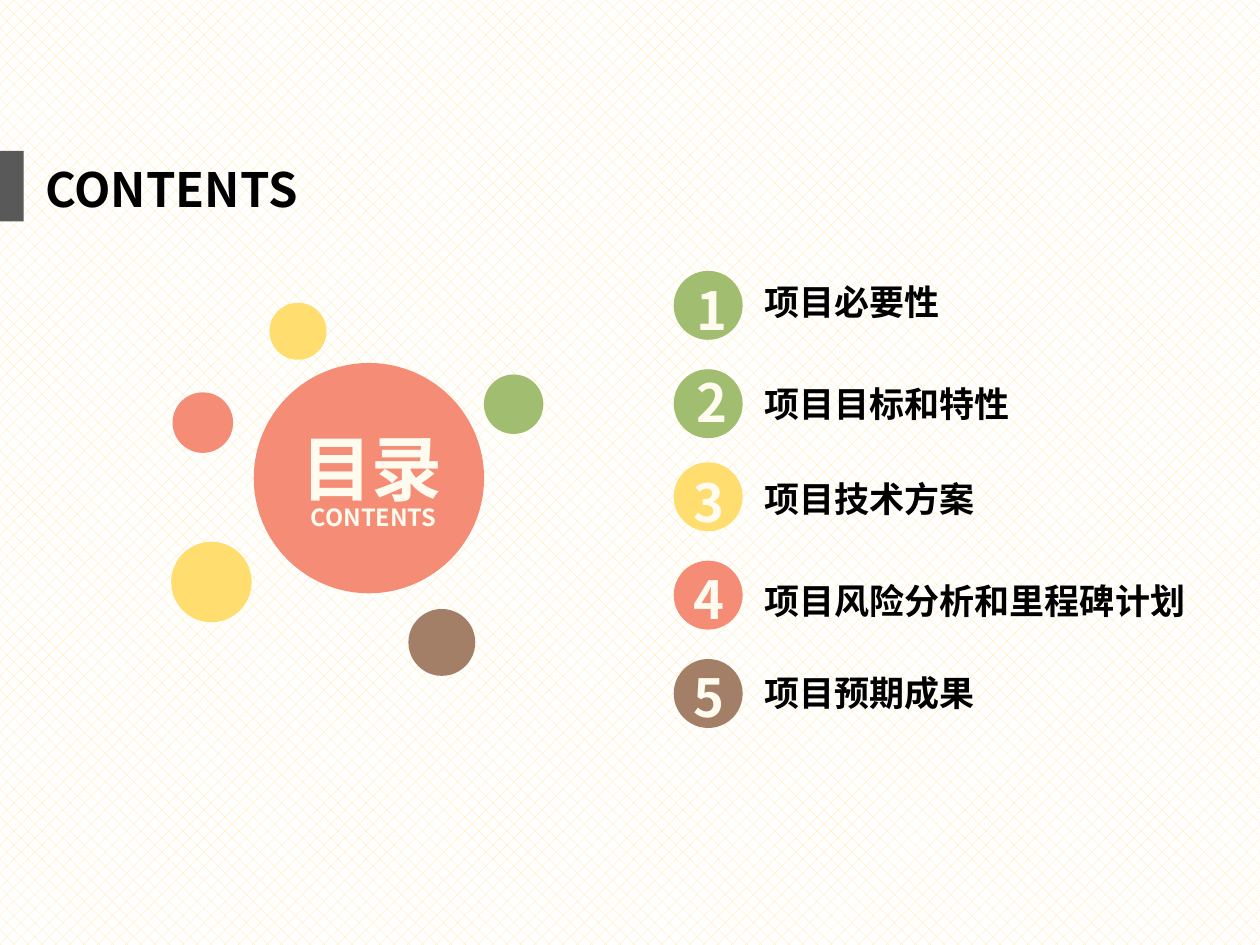
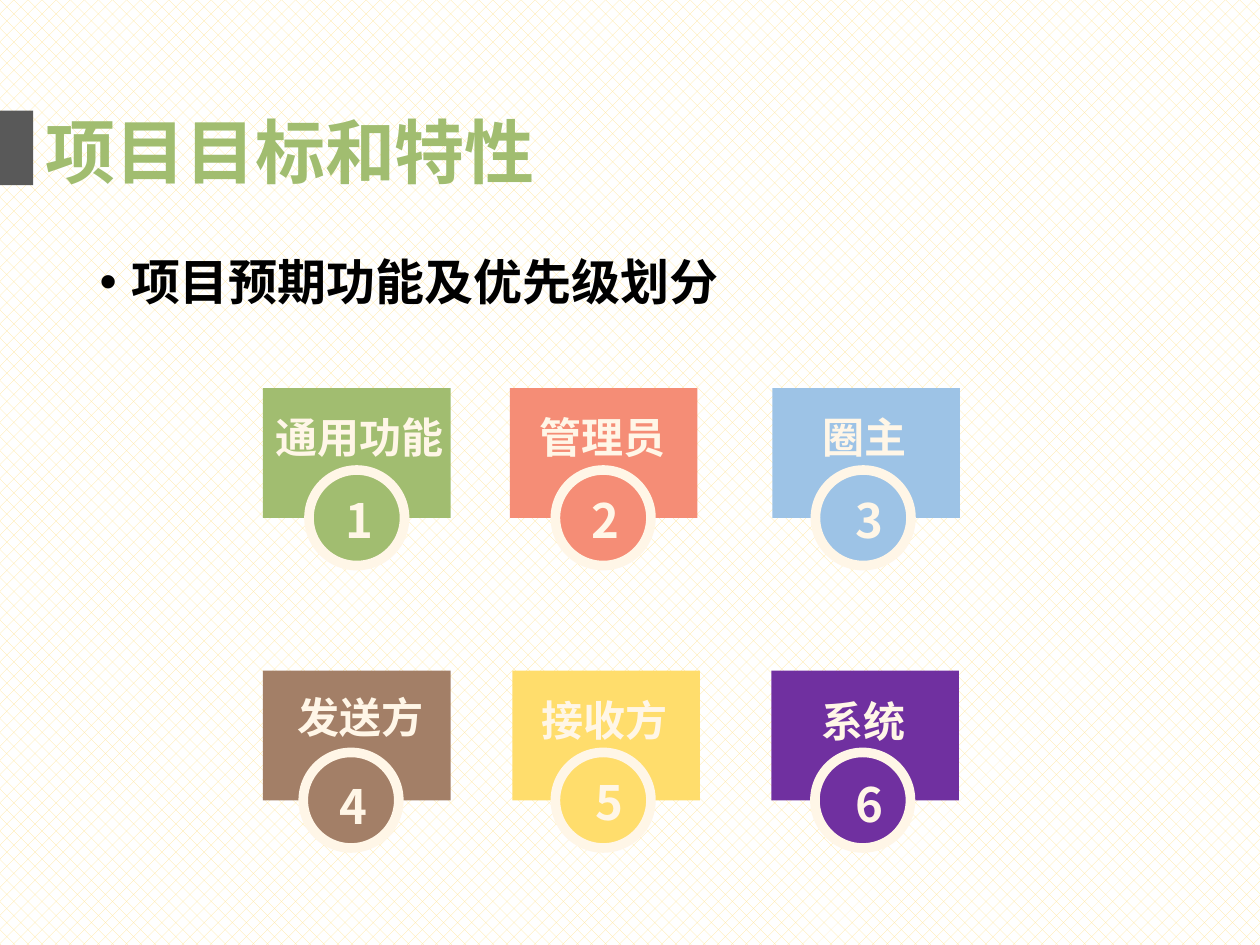
from lxml.etree import SubElement
from pptx import Presentation
from pptx.dml.color import RGBColor as RGB
from pptx.enum.dml import MSO_PATTERN
from pptx.enum.shapes import MSO_SHAPE as Kind
from pptx.enum.text import MSO_ANCHOR, MSO_AUTO_SIZE, PP_ALIGN
from pptx.oxml.ns import qn
from pptx.util import Pt

FONT = "Noto Sans CJK SC"
BLACK = RGB(0, 0, 0)
WHITE = RGB(255, 255, 255)
GRAY = RGB(0x59, 0x59, 0x59)
GREEN = RGB(0xA1, 0xBD, 0x70)
CORAL = RGB(0xF5, 0x8D, 0x76)
GOLD = RGB(0xFF, 0xDE, 0x6F)
AMBER = RGB(0xFF, 0xDD, 0x6C)
BROWN = RGB(0xA3, 0x7F, 0x67)
BLUE = RGB(0x9D, 0xC3, 0xE6)
PLUM = RGB(0x70, 0x30, 0xA0)
IVORY = RGB(0xFF, 0xFB, 0xEF)
CREAM = RGB(0xFF, 0xF6, 0xE7)
STRAW = RGB(0xFF, 0xE6, 0x99)


def draw(slide, kind, x, y, w, h, color):
    shape = slide.shapes.add_shape(kind, Pt(x), Pt(y), Pt(w), Pt(h))
    shape.shadow.inherit = False
    shape.fill.solid()
    shape.fill.fore_color.rgb = color
    shape.line.fill.background()
    return shape


def write(slide, text, x, y, w, size, color, box=None):
    box = box or slide.shapes.add_textbox(0, 0, 0, 0)
    box.left, box.top, box.width, box.height = Pt(x), Pt(y), Pt(w), Pt(1.22 * size + 7.2)
    frame = box.text_frame
    frame.text = text
    frame.word_wrap = False
    frame.auto_size = MSO_AUTO_SIZE.SHAPE_TO_FIT_TEXT
    frame.vertical_anchor = MSO_ANCHOR.TOP
    para = frame.paragraphs[0]
    para.alignment = PP_ALIGN.LEFT
    font = para.font
    font.size, font.bold, font.name = Pt(size), True, FONT
    font.color.rgb = color
    props = para._p.pPr.find(qn("a:defRPr"))
    SubElement(props, qn("a:ea")).set("typeface", FONT)
    return box


deck = Presentation()
deck.slide_width, deck.slide_height = Pt(720), Pt(540)
back = deck.slide_master.background.fill
back.patterned()
back.pattern = MSO_PATTERN.PERCENT_25
back.fore_color.rgb = STRAW
back.back_color.rgb = WHITE

slide = deck.slides.add_slide(deck.slide_layouts[5])
draw(slide, Kind.RECTANGLE, 0, 86.2, 13.5, 40.3, GRAY)
write(slide, "CONTENTS", 18.7, 87.8, 167, 27, BLACK, slide.shapes.title)

items = [
    ("项目必要性", GREEN, 154.8, 391, 155.5, 157),
    ("项目目标和特性", GREEN, 211, 391, 208.1, 215.3),
    ("项目技术方案", GOLD, 264.2, 389.5, 265, 269.3),
    ("项目风险分析和里程碑计划", CORAL, 320.4, 389.5, 320.4, 327.6),
    ("项目预期成果", BROWN, 376.6, 389.5, 376.6, 380.2),
]
for num, (text, color, top, left, high, line) in enumerate(items, 1):
    draw(slide, Kind.OVAL, 385, top, 39.4, 39.4, color)
    write(slide, str(num), left, high, 33.1, 30, IVORY)
    write(slide, text, 429.8, line, 20.2 * len(text) + 16, 20, BLACK)

dots = [
    (145, 207.4, 131.6, CORAL),
    (97.8, 309.6, 46, GOLD),
    (98.6, 224.2, 34.6, CORAL),
    (154, 173, 32.6, GOLD),
    (276.5, 214, 34, GREEN),
    (233.4, 348, 38.2, BROWN),
]
for x, y, d, color in dots:
    draw(slide, Kind.OVAL, x, y, d, d, color)
write(slide, "CONTENTS", 170.6, 283.7, 91.4, 13.5, IVORY)
write(slide, "目录", 165, 239, 96.5, 40.5, IVORY)

slide = deck.slides.add_slide(deck.slide_layouts[1])
draw(slide, Kind.RECTANGLE, 0, 63.2, 18.9, 42.6, GRAY)
write(slide, "项目目标和特性", 18.7, 58.3, 297.4, 40, GREEN, slide.shapes.title)

body = write(slide, "项目预期功能及优先级划分", 49.7, 144, 620.6, 28, BLACK, slide.placeholders[1])
body.height = Pt(342.7)
body.text_frame.word_wrap = True
body.text_frame.auto_size = MSO_AUTO_SIZE.NONE
para = body.text_frame.paragraphs[0]
para.line_spacing = 0.9
para.space_before = Pt(10)
para._p.pPr.set("marL", str(Pt(18)))
para._p.pPr.set("indent", str(Pt(-18)))

cards = [
    ("通用功能", GREEN, 150.3, 176.6, 150.5, 231.8, 190.1, 277.2),
    ("管理员", CORAL, 291.4, 317.4, 301, 231.8, 331.2, 277.2),
    ("圈主", BLUE, 441.4, 466, 463, 231.8, 481.7, 277.2),
    ("发送方", BROWN, 150.3, 173.3, 162.7, 391.7, 187.2, 440.6),
    ("接收方", AMBER, 292.8, 317.4, 302.4, 393.1, 333.4, 438.5),
    ("系统", PLUM, 440.8, 465.7, 462.2, 393.8, 481.7, 439.2),
]
for num, (text, color, left, ring, x, y, dx, dy) in enumerate(cards):
    top = 221.8 + 161.4 * (num // 3)
    draw(slide, Kind.RECTANGLE, left, top, 107.2, 74.2, color)
    disc = draw(slide, Kind.OVAL, ring, top + 46.8, 54.6, 54.6, color)
    disc.line.color.rgb = CREAM
    disc.line.width = Pt(5.5)
    write(slide, text, x, y, 24 * len(text) + 16, 24, CREAM)
    write(slide, str(num + 1), dx, dy, 31.7, 27, CREAM)

deck.save("out.pptx")
